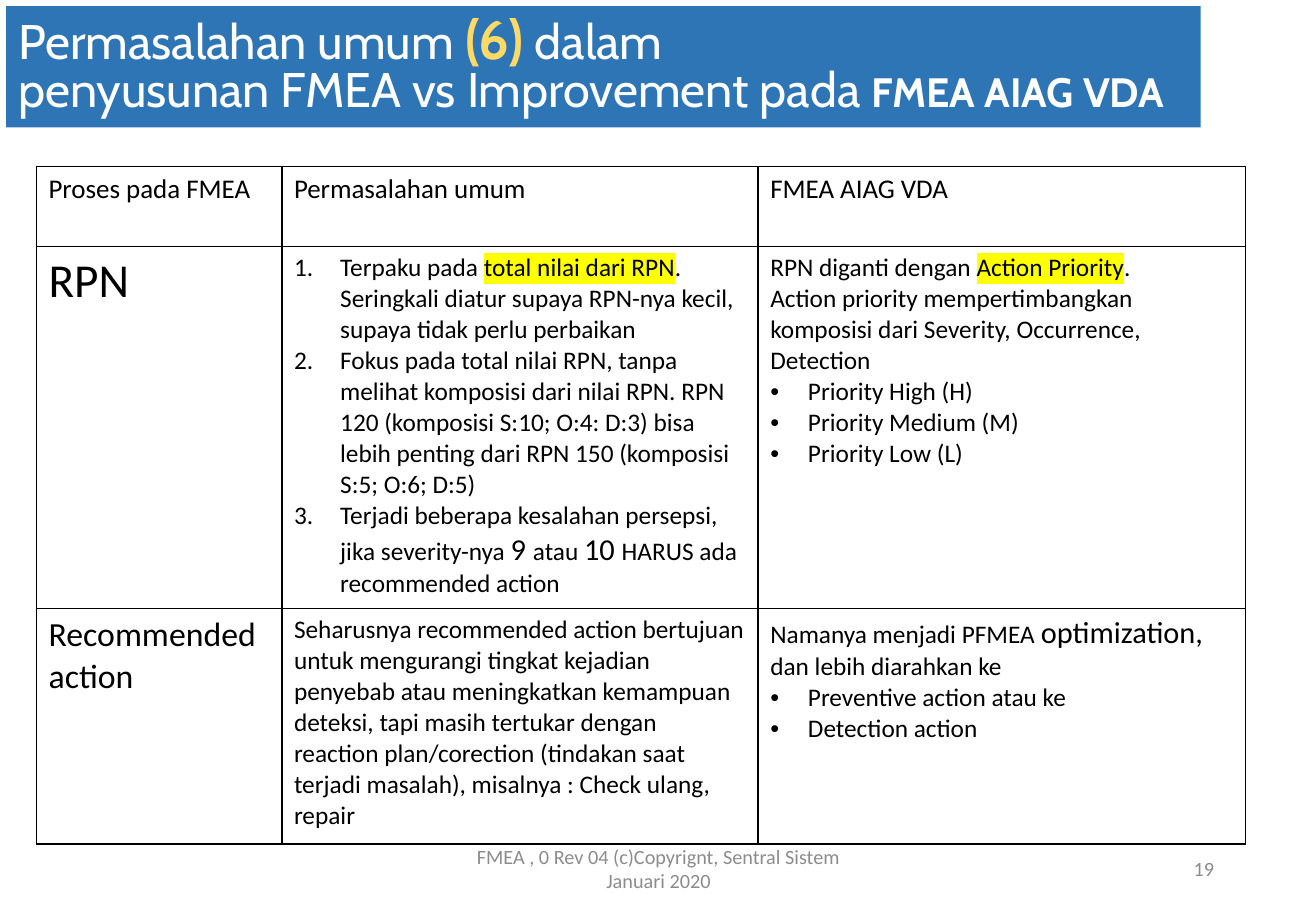
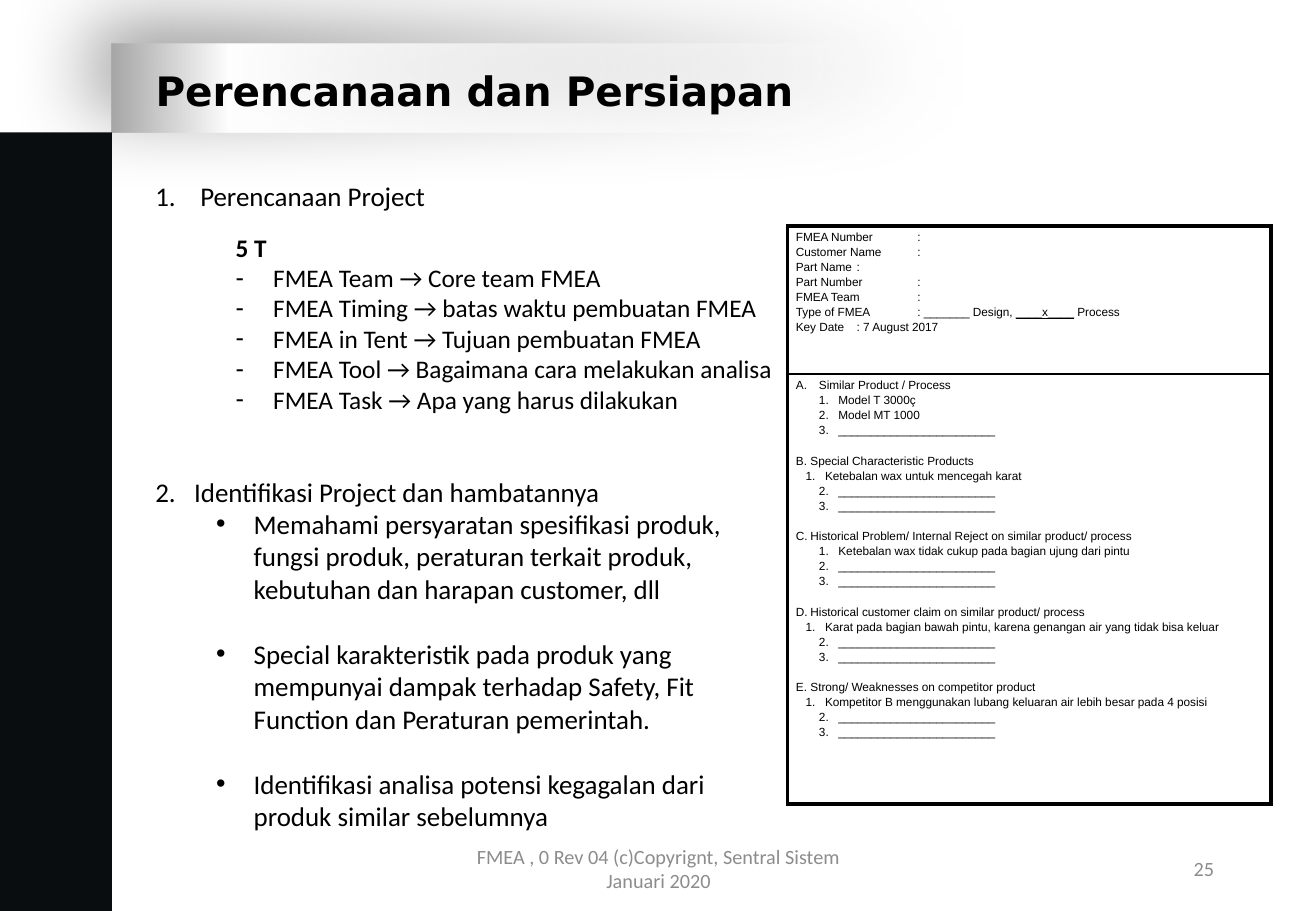
from dataclasses import dataclass

from lxml.etree import SubElement
from pptx import Presentation
from pptx.dml.color import RGBColor
from pptx.enum.shapes import MSO_SHAPE
from pptx.enum.text import MSO_ANCHOR, MSO_AUTO_SIZE, PP_ALIGN
from pptx.oxml import parse_xml
from pptx.oxml.ns import nsdecls, qn
from pptx.util import Inches, Pt

BLACK = RGBColor(0x00, 0x00, 0x00)
WHITE = RGBColor(0xFF, 0xFF, 0xFF)
BLUE = RGBColor(0x2E, 0x75, 0xB6)
GOLD = RGBColor(0xFF, 0xD9, 0x66)
GREY = RGBColor(0x8C, 0x8C, 0x8C)
SILVER = RGBColor(0xA6, 0xA6, 0xA6)
INK = RGBColor(0x0A, 0x0D, 0x10)
YELLOW = RGBColor(0xFF, 0xFF, 0x00)

FOOTER = "FMEA , 0 Rev 04 (c)Copyrignt, Sentral Sistem Januari 2020"
BLANK = "_" * 24
DOT = {"margin": 0.31, "hang": 0.31, "bullet": "•"}
DASH = {**DOT, "bullet": "-"}
NUMBER = {"margin": 0.38, "hang": 0.38, "numbering": "arabicPeriod"}


@dataclass
class Box:
    """Hold a rectangle in inches."""
    left: float
    top: float
    width: float
    height: float

    def place(self):
        """Return the four lengths as python-pptx wants them."""
        return [Inches(value) for value in (self.left, self.top, self.width, self.height)]

    def inner(self, left, top, width, height):
        """Return a box placed relative to this one."""
        return Box(self.left + left, self.top + top, width, height)


PAGE = Box(0, 0, 10.83, 7.5)


def add_span(para, text, size=15, font="Calibri", color=BLACK, bold=False,
             underline=False, highlight=None):
    """Add one formatted run to a paragraph."""
    span = para.add_run()
    span.text = text
    span.font.size = Pt(size)
    span.font.bold = bold
    if underline:
        span.font.underline = True
    span.font.color.rgb = color
    span.font.name = font
    if highlight is not None:
        mark = parse_xml(f'<a:highlight {nsdecls("a")}><a:srgbClr val="{highlight}"/></a:highlight>')
        span.font._element.find(qn("a:solidFill")).addnext(mark)


def add_para(frame, content, align=PP_ALIGN.LEFT, level=0, margin=0, hang=0, bullet=None,
             numbering=None, start=1, tab=None, before=0, spacing=None, **style):
    """Add a paragraph whose content is a text or a list of texts and (text, format) pairs."""
    para = frame.paragraphs[0]
    if para.runs:
        para = frame.add_paragraph()
    para.alignment = align
    para.level = level
    properties = para._p.get_or_add_pPr()
    properties.set("marL", str(Inches(margin)))
    properties.set("indent", str(-Inches(hang)))
    if before:
        para.space_before = Pt(before)
    if spacing:
        para.line_spacing = spacing
    if bullet:
        SubElement(properties, qn("a:buFont"), typeface="Arial")
        SubElement(properties, qn("a:buChar"), char=bullet)
    elif numbering:
        SubElement(properties, qn("a:buAutoNum"), type=numbering, startAt=str(start))
    else:
        SubElement(properties, qn("a:buNone"))
    if tab:
        stops = SubElement(properties, qn("a:tabLst"))
        SubElement(stops, qn("a:tab"), pos=str(Inches(tab)), algn="l")
    for part in [content] if isinstance(content, str) else content:
        text, changes = (part, {}) if isinstance(part, str) else part
        add_span(para, text, **{**style, **changes})


def add_text(page, box, anchor=MSO_ANCHOR.TOP):
    """Add a wrapping text box and return its frame."""
    frame = page.shapes.add_textbox(*box.place()).text_frame
    frame.word_wrap = True
    frame.vertical_anchor = anchor
    return frame


def place_title(page, box, anchor):
    """Move the title placeholder to the box and return it."""
    title = page.shapes.title
    title.left, title.top, title.width, title.height = box.place()
    title.text_frame.auto_size = MSO_AUTO_SIZE.NONE
    title.text_frame.vertical_anchor = anchor
    return title


def add_back_shape(page, box):
    """Add a plain rectangle behind everything else."""
    shape = page.shapes.add_shape(MSO_SHAPE.RECTANGLE, *box.place())
    shape.shadow.inherit = False
    shape.line.fill.background()
    page.shapes._spTree.insert(2, shape._element)
    return shape


def add_footer(page, number):
    """Add the copyright line and the page number."""
    strip = PAGE.inner(3.59, 6.95, 6.5, 0.4)
    for box, text, align in (
            (strip.inner(0, 0, 3.66, 0.4), FOOTER, PP_ALIGN.CENTER),
            (strip.inner(4.06, 0, 2.44, 0.4), str(number), PP_ALIGN.RIGHT)):
        add_para(add_text(page, box, MSO_ANCHOR.MIDDLE), text, align=align, size=12, color=GREY)


def set_borders(cell, **widths):
    """Draw the four cell edges with widths in points."""
    properties = cell._tc.get_or_add_tcPr()
    for side in "LRTB":
        properties.append(parse_xml(
            f'<a:ln{side} {nsdecls("a")} w="{Pt(widths.get(side, 1))}"><a:solidFill>'
            f'<a:srgbClr val="{BLACK}"/></a:solidFill></a:ln{side}>'))


def add_grid(page, box, columns, rows):
    """Add a table without style banding."""
    table = page.shapes.add_table(len(rows), len(columns), *box.place()).table
    table.first_row = table.horz_banding = False
    for column, width in zip(table.columns, columns):
        column.width = Inches(width)
    for row, height in zip(table.rows, rows):
        row.height = Inches(height)
    return table


def add_comparison(page, box):
    """Add the table that compares common problems with the new method."""
    big = {"size": 18}
    marked = {"highlight": YELLOW}
    rows = [
        [[(text, {"size": 16})] for text in ("Proses pada FMEA", "Permasalahan umum", "FMEA AIAG VDA")],
        [
            [("RPN", {"size": 28})],
            [(["Terpaku pada ", ("total nilai dari RPN", marked),
               ". Seringkali diatur supaya RPN-nya kecil, supaya tidak perlu perbaikan"], NUMBER),
             ("Fokus pada total nilai RPN, tanpa melihat komposisi dari nilai RPN. RPN 120 "
              "(komposisi S:10; O:4: D:3) bisa lebih penting dari RPN 150 (komposisi S:5; O:6; D:5)",
              NUMBER),
             (["Terjadi beberapa kesalahan persepsi, jika severity-nya ", ("9 ", big), "atau ",
               ("10 ", big), "HARUS ada recommended action"], NUMBER)],
            [(["RPN diganti dengan ", ("Action Priority", marked), "."], {}),
             ("Action priority mempertimbangkan komposisi dari Severity, Occurrence, Detection", {}),
             ("Priority High (H)", DOT), ("Priority Medium (M)", DOT), ("Priority Low (L)", DOT)],
        ],
        [
            [("Recommended action", {"size": 20})],
            [("Seharusnya recommended action bertujuan untuk mengurangi tingkat kejadian penyebab "
              "atau meningkatkan kemampuan deteksi, tapi masih tertukar dengan reaction "
              "plan/corection (tindakan saat terjadi masalah), misalnya : Check ulang, repair", {})],
            [(["Namanya menjadi PFMEA ", ("optimization, ", big), "dan lebih diarahkan ke"], {}),
             ("Preventive action atau ke", DOT), ("Detection action", DOT)],
        ],
    ]
    table = add_grid(page, box, (2.02, 3.92, 4.01), (0.66, 2.98, 1.94))
    for row, row_texts in zip(table.rows, rows):
        for cell, texts in zip(row.cells, row_texts):
            set_borders(cell)
            cell.fill.background()
            for content, options in texts:
                add_para(cell.text_frame, content, **options)


def add_form(page, box):
    """Add the sample planning form with its header and five sections."""
    header = ["FMEA Number\t:", "Customer Name\t:", "Part Name\t:", "Part Number\t:", "FMEA Team\t:",
              ["Type of FMEA\t: _______ Design, ", ("____x____", {"underline": True}), " Process"],
              "Key Date\t: 7 August 2017"]
    sections = [
        ("Similar Product / Process", 0.19, 0.35, ["Model T 3000ç", "Model MT 1000", BLANK]),
        ("Special Characteristic Products", 0.12, 0.24,
         ["Ketebalan wax untuk mencegah karat", BLANK, BLANK]),
        ("Historical Problem/ Internal Reject on similar product/ process", 0.12, 0.35,
         ["Ketebalan wax tidak cukup pada bagian ujung dari pintu", BLANK, BLANK]),
        ("Historical customer claim on similar product/ process", 0.12, 0.24,
         ["Karat pada bagian bawah pintu, karena genangan air yang tidak bisa keluar", BLANK, BLANK]),
        ("Strong/ Weaknesses on competitor product", 0.12, 0.24,
         ["Kompetitor B menggunakan lubang keluaran air lebih besar pada 4 posisi", BLANK, BLANK]),
    ]
    style = {"size": 7, "font": "Arial"}
    gap = 1.1
    table = add_grid(page, box, (box.width,), (1.22, 3.54))
    top, body = table.cell(0, 0), table.cell(1, 0)
    for cell, heavy in ((top, "T"), (body, "B")):
        set_borders(cell, L=2.25, R=2.25, **{heavy: 2.25})
        cell.fill.solid()
        cell.fill.fore_color.rgb = WHITE
        cell.margin_left = cell.margin_right = Inches(0.07)
        cell.margin_top = cell.margin_bottom = Inches(0.04)
    for index, line in enumerate(header):
        add_para(top.text_frame, line, tab=1.23, before=gap if index else 0, **style)
    for letter, (heading, hang, first_margin, items) in enumerate(sections, 1):
        add_para(body.text_frame, heading, margin=hang, hang=hang, numbering="alphaUcPeriod",
                 start=letter, before=10.3 if letter > 1 else 0, **style)
        for number, item in enumerate(items, 1):
            add_para(body.text_frame, item, level=1, margin=first_margin if number == 1 else 0.35,
                     hang=0.16, numbering="arabicPeriod", start=number, before=gap, **style)


def add_plan(page, box):
    """Add the two numbered topics and the 5 T list between them."""
    frame = add_text(page, box)
    add_para(frame, "Perencanaan Project", margin=0.37, hang=0.37, numbering="arabicPeriod", size=16)
    add_para(frame, "Identifikasi Project dan hambatannya", margin=0.32, hang=0.32,
             numbering="arabicPeriod", start=2, before=156, size=16)
    points = ["Memahami persyaratan spesifikasi produk, fungsi produk, peraturan terkait produk, "
              "kebutuhan dan harapan customer, dll",
              "Special karakteristik pada produk yang mempunyai dampak terhadap Safety, Fit "
              "Function dan Peraturan pemerintah.",
              "Identifikasi analisa potensi kegagalan dari produk similar sebelumnya"]
    for index, point in enumerate(points):
        add_para(frame, point, level=1, margin=0.81, hang=0.31, bullet="•",
                 before=19.5 if index else 0, size=16)
    steps = add_text(page, box.inner(0.66, 0.43, 4.76, 1.62))
    add_para(steps, "5 T", bold=True)
    for step in ("Team → Core team FMEA", "Timing → batas waktu pembuatan FMEA",
                 "in Tent → Tujuan pembuatan FMEA", "Tool → Bagaimana cara melakukan analisa",
                 "Task → Apa yang harus dilakukan"):
        add_para(steps, f"FMEA {step}", **DASH)


def add_shaded_band(page, box):
    """Add the fading title band with its soft shadow."""
    properties = add_back_shape(page, box)._element.spPr
    properties.remove(properties.find(qn("a:effectLst")))
    outline = properties.find(qn("a:ln"))
    outline.addprevious(parse_xml(
        f'<a:gradFill {nsdecls("a")} rotWithShape="1"><a:gsLst>'
        f'<a:gs pos="0"><a:srgbClr val="{WHITE}"><a:alpha val="0"/></a:srgbClr></a:gs>'
        f'<a:gs pos="86000"><a:srgbClr val="{WHITE}"/></a:gs>'
        f'<a:gs pos="100000"><a:srgbClr val="{SILVER}"/></a:gs>'
        '</a:gsLst><a:lin ang="10800000" scaled="0"/></a:gradFill>'))
    outline.addnext(parse_xml(
        f'<a:effectLst {nsdecls("a")}><a:outerShdw blurRad="{Pt(49)}" dist="{Pt(17)}" '
        f'dir="13500000" algn="br" rotWithShape="0"><a:srgbClr val="{BLACK}">'
        '<a:alpha val="40000"/></a:srgbClr></a:outerShdw></a:effectLst>'))


def build_comparison_page(page):
    """Build the page with the blue title and the comparison table."""
    title = place_title(page, PAGE.inner(0.05, 0.05, 9.83, 1), MSO_ANCHOR.MIDDLE)
    title.fill.solid()
    title.fill.fore_color.rgb = BLUE
    for line in (["Permasalahan umum ", ("(6)", {"size": 32.4, "color": GOLD, "bold": True}), " dalam"],
                 ["penyusunan FMEA vs Improvement pada ",
                  ("FMEA AIAG VDA", {"size": 24.3, "bold": True})]):
        add_para(title.text_frame, line, spacing=0.8, size=28.8, font="Cabin", color=WHITE)
    add_comparison(page, PAGE.inner(0.3, 1.37, 9.95, 5.58))
    add_footer(page, 19)


def build_planning_page(page):
    """Build the page with the side bar, the plan and the form."""
    title = place_title(page, PAGE.inner(1.18, 0.49, 5.46, 0.5), MSO_ANCHOR.TOP)
    title.text_frame.word_wrap = False
    add_para(title.text_frame, "Perencanaan dan Persiapan", size=24, font="DejaVu Sans", bold=True)
    bar = add_back_shape(page, PAGE.inner(0, 1.09, 0.92, 6.41))
    bar.fill.solid()
    bar.fill.fore_color.rgb = INK
    add_shaded_band(page, PAGE.inner(0.92, 0.36, 6.91, 0.73))
    add_plan(page, PAGE.inner(1.18, 1.43, 5.16, 5.76))
    add_form(page, PAGE.inner(6.48, 1.86, 3.98, 4.76))
    add_footer(page, 25)


def main():
    """Build the deck and save it."""
    deck = Presentation()
    deck.slide_width, deck.slide_height = Inches(PAGE.width), Inches(PAGE.height)
    for build in (build_comparison_page, build_planning_page):
        build(deck.slides.add_slide(deck.slide_layouts[5]))
    deck.save("out.pptx")


if __name__ == "__main__":
    main()
